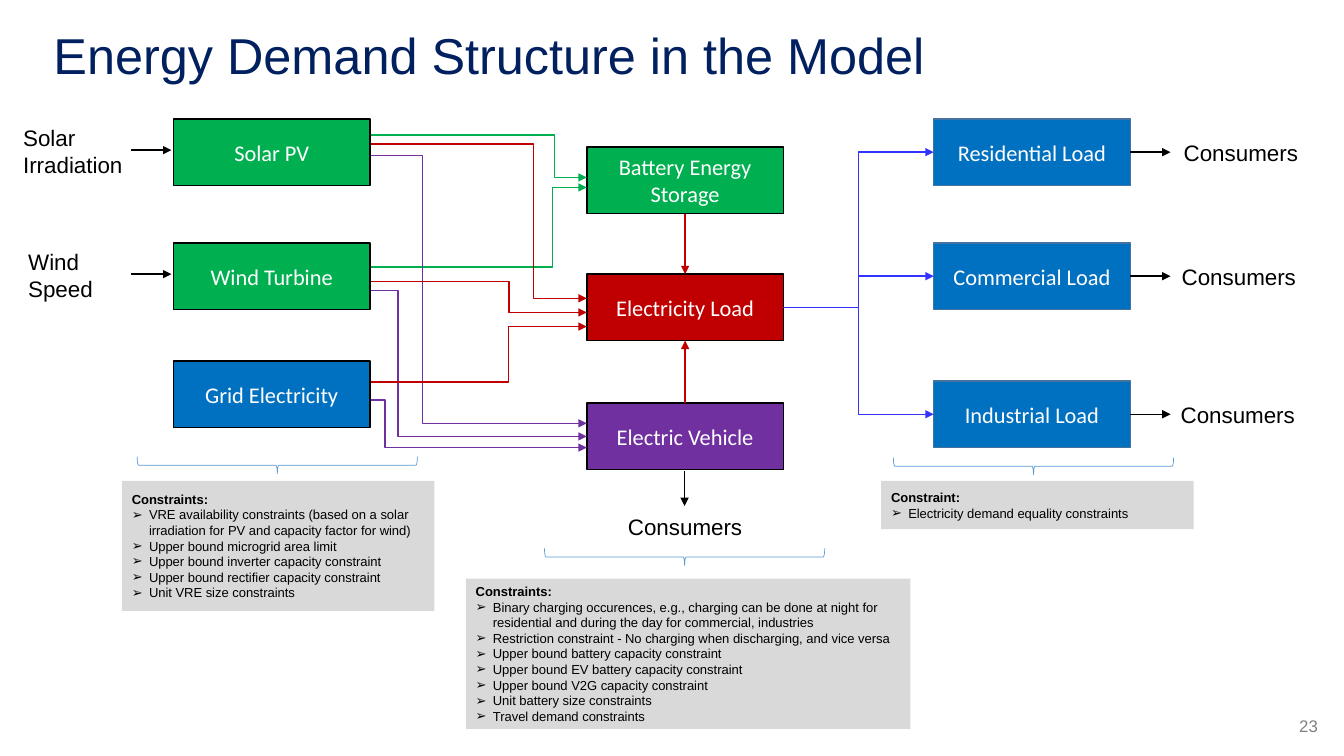
from dataclasses import dataclass

from lxml.etree import SubElement
from pptx import Presentation
from pptx.dml.color import RGBColor
from pptx.enum.shapes import MSO_CONNECTOR as CONNECTOR, MSO_SHAPE as SHAPE
from pptx.enum.text import MSO_ANCHOR as ANCHOR, MSO_AUTO_SIZE as AUTO_SIZE, PP_ALIGN as ALIGN
from pptx.oxml.ns import qn
from pptx.util import Pt

EMU_PER_PX = 9144
NODE_WIDTH, NODE_HEIGHT = 195, 66
TOP_SITE, LEFT_SITE, BOTTOM_SITE, RIGHT_SITE = range(4)


@dataclass(frozen=True)
class Theme:
    navy: str = "002060"
    black: str = "000000"
    white: str = "FFFFFF"
    gray: str = "808080"
    panel: str = "D9D9D9"
    brace: str = "5B9BD5"
    blue: str = "0070C0"
    blue_edge: str = "43739E"
    green: str = "00B050"
    red: str = "C00000"
    purple: str = "7030A0"
    supply: str = "3333FF"
    text_font: str = "Arial"
    node_font: str = "Calibri"
    title_size: float = 36
    label_size: float = 16
    number_size: float = 12
    note_size: float = 9.3


THEME = Theme()


@dataclass(frozen=True)
class Box:
    left: int
    top: int
    width: int
    height: int

    def inner(self, x, y, width, height):
        return Box(self.left + x, self.top + y, width, height)

    def point(self, x, y):
        return self.left + x, self.top + y

    def emu(self):
        return [px(value) for value in (self.left, self.top, self.width, self.height)]


def px(value):
    return int(value * EMU_PER_PX)


def rgb(color):
    return RGBColor.from_string(color)


def write(frame, text, size=THEME.label_size, font=THEME.text_font, color=THEME.black,
          align=ALIGN.LEFT, inset=(0, 0), bold_first=False, bullet=None, spacing=None):
    frame.word_wrap = True
    frame.auto_size = AUTO_SIZE.NONE
    frame.vertical_anchor = ANCHOR.MIDDLE
    frame.margin_left = frame.margin_right = px(inset[0])
    frame.margin_top = frame.margin_bottom = px(inset[1])
    for index, line in enumerate(text.split("\n")):
        paragraph = frame.add_paragraph() if index else frame.paragraphs[0]
        paragraph.alignment = align
        if spacing:
            paragraph.line_spacing = spacing
        if bullet and index:
            properties = paragraph._p.get_or_add_pPr()
            properties.set("marL", str(px(17)))
            properties.set("indent", str(px(-17)))
            SubElement(properties, qn("a:buFont")).set("typeface", font)
            SubElement(properties, qn("a:buChar")).set("char", bullet)
        run = paragraph.add_run()
        run.text = line
        run.font.size = Pt(size)
        run.font.name = font
        run.font.bold = bold_first and index == 0
        run.font.color.rgb = rgb(color)


def add_label(slide, box, text, **text_format):
    write(slide.shapes.add_textbox(*box.emu()).text_frame, text, **text_format)


def add_node(slide, box, text, fill, edge=THEME.black):
    shape = slide.shapes.add_shape(SHAPE.RECTANGLE, *box.emu())
    shape.shadow.inherit = False
    shape.fill.solid()
    shape.fill.fore_color.rgb = rgb(fill)
    shape.line.color.rgb = rgb(edge)
    shape.line.width = Pt(1)
    write(shape.text_frame, text, font=THEME.node_font, color=THEME.white,
          align=ALIGN.CENTER, inset=(9, 4))
    return shape


def add_arrow(slide, start, end, color=THEME.black, width=1, kind=CONNECTOR.STRAIGHT, bend=None):
    connector = slide.shapes.add_connector(kind, *(px(value) for value in (*start, *end)))
    connector.line.color.rgb = rgb(color)
    connector.line.width = Pt(width)
    SubElement(connector.line._get_or_add_ln(), qn("a:tailEnd")).set("type", "triangle")
    properties = connector._element.spPr
    SubElement(properties, qn("a:effectLst"))
    if bend is not None:
        guide = SubElement(properties.find(qn("a:prstGeom")).find(qn("a:avLst")), qn("a:gd"))
        guide.set("name", "adj1")
        guide.set("fmla", f"val {round(100000 * bend / (end[0] - start[0]))}")
    return connector


def join(slide, source, source_site, target, target_site, color, kind=CONNECTOR.STRAIGHT):
    connector = add_arrow(slide, (0, 0), (1, 1), color, kind=kind)
    connector.begin_connect(source, source_site)
    connector.end_connect(target, target_site)


def add_brace(slide, box):
    upright = box.inner((box.width - box.height) / 2, (box.height - box.width) / 2,
                        box.height, box.width)
    shape = slide.shapes.add_shape(SHAPE.RIGHT_BRACE, *upright.emu())
    shape.rotation = 90
    shape.shadow.inherit = False
    shape.fill.background()
    shape.line.color.rgb = rgb(THEME.brace)
    shape.line.width = Pt(0.5)


def add_note(slide, box, text):
    shape = slide.shapes.add_shape(SHAPE.RECTANGLE, *box.emu())
    shape.shadow.inherit = False
    shape.fill.solid()
    shape.fill.fore_color.rgb = rgb(THEME.panel)
    shape.line.fill.background()
    write(shape.text_frame, text, size=THEME.note_size, inset=(10, 5), bold_first=True, bullet="➢")


def build_header(slide, box):
    title = slide.shapes.title
    title.left, title.top, title.width, title.height = box.emu()
    write(title.text_frame, "Energy Demand Structure in the Model", size=THEME.title_size,
          color=THEME.navy, inset=(10, 5), spacing=0.9)


def build_sources(slide, box):
    for text, y, fill in (("Solar PV", 0, THEME.green), ("Wind Turbine", 123, THEME.green),
                          ("Grid Electricity", 240, THEME.blue)):
        add_node(slide, box.inner(151, y, NODE_WIDTH, NODE_HEIGHT), text, fill)
    for text, x, y in (("Solar Irradiation", 2, 31), ("Wind\nSpeed", 7, 154)):
        add_label(slide, box.inner(x, y - 16, 140, 34), text)
        add_arrow(slide, box.point(109, y), box.point(149, y))
    add_brace(slide, box.inner(115, 335, 278, 17))
    add_note(slide, box.inner(100, 359, 310, 129), """Constraints:
VRE availability constraints (based on a solar irradiation for PV and capacity factor for wind)
Upper bound microgrid area limit
Upper bound inverter capacity constraint
Upper bound rectifier capacity constraint
Unit VRE size constraints""")


def build_hub(slide, box):
    battery, electricity, vehicle = (
        add_node(slide, box.inner(120, y, NODE_WIDTH, NODE_HEIGHT), text, fill)
        for text, y, fill in (("Battery Energy Storage", 0, THEME.green),
                              ("Electricity Load", 126, THEME.red),
                              ("Electric Vehicle", 254, THEME.purple)))
    join(slide, battery, BOTTOM_SITE, electricity, TOP_SITE, THEME.red)
    join(slide, vehicle, TOP_SITE, electricity, BOTTOM_SITE, THEME.red)
    add_arrow(slide, box.point(217, 321), box.point(217, 356), width=0.5)
    add_label(slide, box.inner(126, 359, 183, 34), "Consumers", align=ALIGN.CENTER)
    add_brace(slide, box.inner(78, 398, 278, 17))
    add_note(slide, box.inner(0, 428, 441, 149), """Constraints:
Binary charging occurences, e.g., charging can be done at night for residential and during the day for commercial, industries
Restriction constraint - No charging when discharging, and vice versa
Upper bound battery capacity constraint
Upper bound EV battery capacity constraint
Upper bound V2G capacity constraint
Unit battery size constraints
Travel demand constraints""")
    return electricity


def build_flows(slide, box):
    flows = {
        THEME.green: ((147, 68, 180), (16, 58, 182)),
        THEME.purple: ((170, 315, 27), (279, 326, 14), (36, 302, 51)),
        THEME.red: ((25, 178, 161), (161, 192, 137), (261, 206, 136)),
    }
    for color, routes in flows.items():
        for start_y, end_y, bend in routes:
            add_arrow(slide, box.point(0, start_y), box.point(box.width, end_y), color,
                      kind=CONNECTOR.ELBOW, bend=bend)


def build_loads(slide, box, electricity):
    for text, y, label_x in (("Residential Load", 0, 300), ("Commercial Load", 123, 298),
                             ("Industrial Load", 260, 297)):
        load = add_node(slide, box.inner(52, y, NODE_WIDTH, NODE_HEIGHT), text,
                        THEME.blue, THEME.blue_edge)
        join(slide, electricity, RIGHT_SITE, load, LEFT_SITE, THEME.supply, CONNECTOR.ELBOW)
        middle = y + NODE_HEIGHT // 2
        add_arrow(slide, box.point(247, middle), box.point(287, middle))
        add_label(slide, box.inner(label_x, middle - 17, 132, 34), "Consumers")
    add_brace(slide, box.inner(12, 336, 278, 17))
    add_note(slide, box.inner(0, 359, 310, 48),
             "Constraint:\nElectricity demand equality constraints")


def build_footer(slide, box):
    add_label(slide, box, "23", size=THEME.number_size, color=THEME.gray,
              align=ALIGN.RIGHT, inset=(10, 5))


def main():
    presentation = Presentation()
    presentation.slide_width, presentation.slide_height = px(1333), px(750)
    slide = presentation.slides.add_slide(presentation.slide_layouts.get_by_name("Title Only"))
    build_header(slide, Box(43, 19, 1150, 78))
    build_sources(slide, Box(21, 118, 413, 488))
    electricity = build_hub(slide, Box(462, 146, 441, 577))
    build_flows(slide, Box(368, 118, 214, 326))
    build_loads(slide, Box(874, 118, 432, 407), electricity)
    build_footer(slide, Box(1261, 700, 56, 40))
    presentation.save("out.pptx")


if __name__ == "__main__":
    main()
